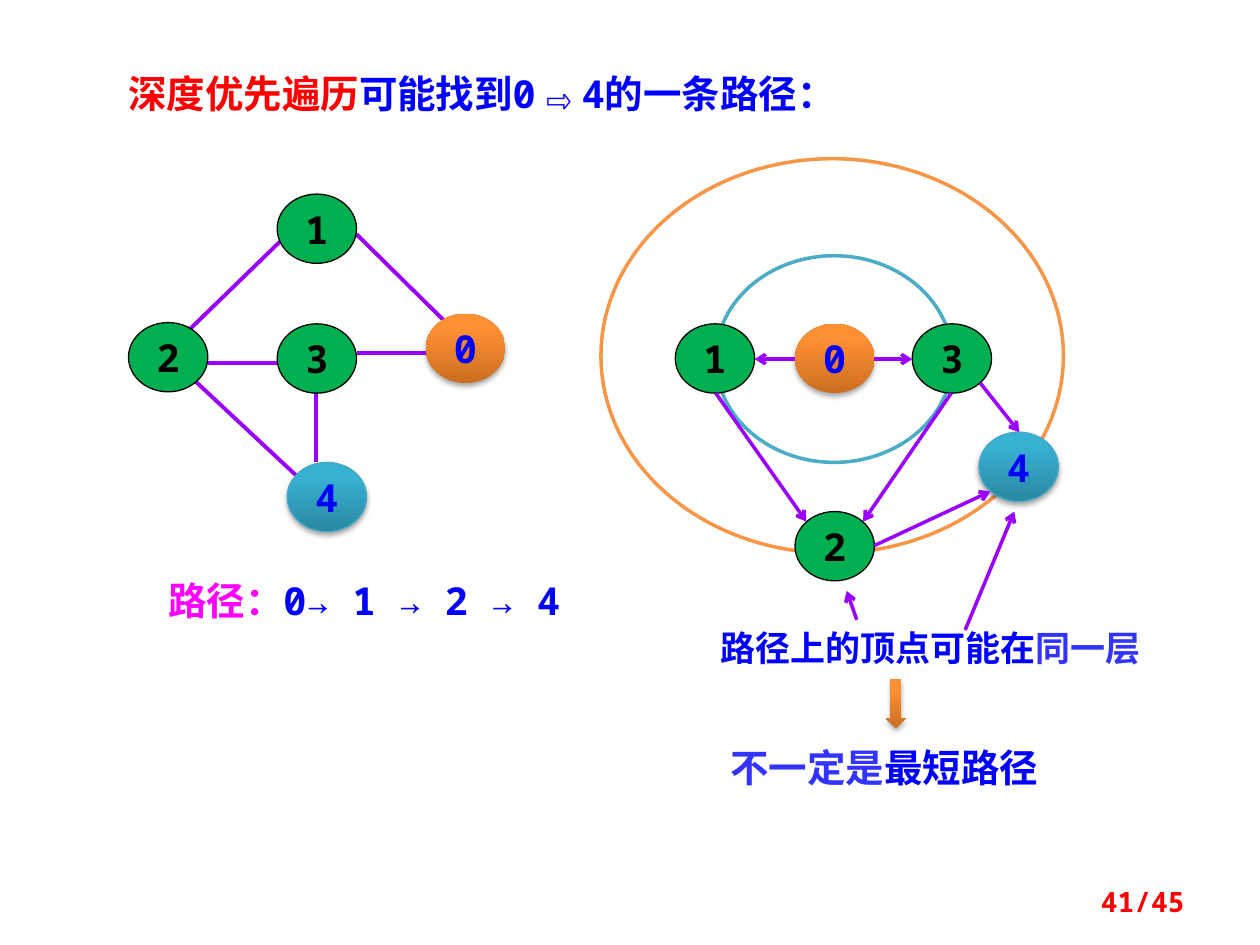
from typing import NamedTuple

from lxml.etree import SubElement
from pptx import Presentation
from pptx.dml.color import RGBColor
from pptx.enum.shapes import MSO_CONNECTOR, MSO_SHAPE
from pptx.enum.text import MSO_ANCHOR, MSO_AUTO_SIZE, PP_ALIGN
from pptx.oxml.ns import qn
from pptx.util import Inches, Pt

COLS, ROWS = 100, 75  # grid over the slide
WIDE, HIGH = Inches(10), Inches(7.5)
NODE_W, NODE_H = 6.3, 5.5
MONO, ROMAN = "Noto Sans Mono", "Times New Roman"
BLUE, RED, PURPLE = "0000FF", "FF0000", "9900FF"
GREEN, BLACK = "00B050", "000000"
ORANGE = ("CC6E20", "FF9034")
TEAL = ("2A88A2", "37B1D2")


class Node(NamedTuple):
    name: str
    col: float
    row: float
    kind: str = "plain"


class Edge(NamedTuple):
    x1: float
    y1: float
    x2: float
    y2: float


class Label(NamedTuple):
    box: tuple
    runs: tuple  # (text, colour) pairs
    font: str = MONO
    size: int = 22
    align: PP_ALIGN = PP_ALIGN.CENTER
    anchor: MSO_ANCHOR = MSO_ANCHOR.TOP


# Ellipses that mark the search layers
RINGS = [((47.7, 12.6, 36.7, 31.3), "F79646"),
         ((56.8, 20.3, 18.8, 16.4), "4BACC6")]

# Graph on the left, layers on the right
NODES = [
    Node("1", 22, 15.4), Node("3", 22, 25.7), Node("2", 10.2, 25.6),
    Node("4", 22.8, 36.7, "goal"), Node("0", 33.8, 24.9, "start"),
    Node("0", 63.1, 25.7, "start"), Node("1", 53.6, 25.7),
    Node("3", 72.4, 25.7), Node("2", 63.1, 40.6),
    Node("4", 77.7, 34.3, "goal"),
]
EDGES = [
    Edge(28.3, 18.6, 35.4, 25.6), Edge(14.8, 29.6, 24, 38.2),
    Edge(22.3, 19.1, 15.1, 26.1), Edge(16.5, 28.8, 22.8, 28.8),
    Edge(25.1, 31.2, 25.1, 36.7), Edge(28.3, 28, 34.6, 28),
]
ARROWS = [
    Edge(69.4, 28.5, 72.4, 28.5), Edge(63.1, 28.5, 59.9, 28.5),
    Edge(56.8, 31.2, 64, 41.4), Edge(75.5, 31.2, 68.5, 41.4),
    Edge(77.8, 30.4, 80.9, 34.3), Edge(69.4, 43.3, 78.6, 39),
    # From the remark to the nodes of one layer
    Edge(68, 49.2, 67.2, 46.9), Edge(76.6, 50, 80.5, 40.6),
]
LABELS = [
    Label((6.2, 5.1, 64.1, 4.7),
          (("深度优先遍历", RED), ("可能找到0⇨4的一条路径：", BLUE))),
    Label((7, 45.3, 43.8, 4.7),
          (("路径：", "FF00FF"), ("0→ 1 → 2 → 4", BLUE))),
    Label((50.8, 49.2, 46.1, 4.4),
          (("路径上的顶点可能在", BLUE), ("同一层", "3333FF")), ROMAN, 20),
    Label((57, 58.6, 28.9, 4.7),
          (("不一定是", "3333FF"), ("最短路径", BLUE)), ROMAN,
          align=PP_ALIGN.LEFT),
    Label((71.7, 69.5, 23.3, 4), (("41/45", RED),), size=16,
          align=PP_ALIGN.RIGHT, anchor=MSO_ANCHOR.MIDDLE),
]


def rgb(code: str) -> RGBColor:
    return RGBColor.from_string(code)


def place(*spots: float) -> list:
    """Turn alternating columns and rows into slide lengths."""
    units = (WIDE / COLS, HIGH / ROWS)
    return [round(spot * units[i % 2]) for i, spot in enumerate(spots)]


def add_shape(slide, kind, box: tuple, fill, line=None, width: float = 0.75):
    shape = slide.shapes.add_shape(kind, *place(*box))
    shape.shadow.inherit = False
    if isinstance(fill, tuple):
        shade(shape, fill)
    else:
        shape.fill.solid()
        shape.fill.fore_color.rgb = rgb(fill)
    if line:
        shape.line.color.rgb = rgb(line)
        shape.line.width = Pt(width)
    else:
        shape.line.fill.background()
    return shape


def shade(shape, tones: tuple) -> None:
    """Give a shape an upward gradient and a soft shadow below."""
    shape.fill.gradient()
    shape.fill.gradient_angle = 90
    for stop, tone, spot in zip(shape.fill.gradient_stops, tones, (0, 0.8)):
        stop.color.rgb = rgb(tone)
        stop.position = spot
    effects = shape._element.spPr.find(qn("a:effectLst"))
    shadow = SubElement(effects, qn("a:outerShdw"), blurRad=str(Pt(3.1)),
                        dist=str(Pt(1.8)), dir="5400000", rotWithShape="0")
    tint = SubElement(shadow, qn("a:srgbClr"), val=BLACK)
    SubElement(tint, qn("a:alpha"), val="35000")


def style(para, font: str, size: int, align) -> None:
    para.alignment = align
    para.font.name = font
    para.font.size = Pt(size)
    para.font.bold = True


def add_node(slide, node: Node) -> None:
    fill, line, ink = {
        "plain": (GREEN, BLACK, BLACK),
        "start": (ORANGE, None, BLUE),
        "goal": (TEAL, "46AAC5", BLUE),
    }[node.kind]
    shape = add_shape(slide, MSO_SHAPE.OVAL,
                      (node.col, node.row, NODE_W, NODE_H), fill, line)
    frame = shape.text_frame
    frame.word_wrap = False
    frame.vertical_anchor = MSO_ANCHOR.MIDDLE
    para = frame.paragraphs[0]
    para.text = node.name
    style(para, MONO, 22, PP_ALIGN.CENTER)
    para.font.color.rgb = rgb(ink)


def add_edge(slide, edge: Edge, width: float, head: bool = False) -> None:
    link = slide.shapes.add_connector(MSO_CONNECTOR.STRAIGHT, *place(*edge))
    link.line.color.rgb = rgb(PURPLE)
    link.line.width = Pt(width)
    if head:
        SubElement(link.line._get_or_add_ln(), qn("a:tailEnd"), type="arrow")
    SubElement(link._element.spPr, qn("a:effectLst"))


def add_label(slide, label: Label) -> None:
    frame = slide.shapes.add_textbox(*place(*label.box)).text_frame
    frame.word_wrap = True
    frame.auto_size = MSO_AUTO_SIZE.SHAPE_TO_FIT_TEXT
    frame.vertical_anchor = label.anchor
    para = frame.paragraphs[0]
    style(para, label.font, label.size, label.align)
    for text, ink in label.runs:
        run = para.add_run()
        run.text = text
        run.font.color.rgb = rgb(ink)


def main() -> None:
    deck = Presentation()
    deck.slide_width, deck.slide_height = WIDE, HIGH
    slide = deck.slides.add_slide(deck.slide_layouts[6])
    for box, line in RINGS:
        add_shape(slide, MSO_SHAPE.OVAL, box, "FFFFFF", line, 2)
    for edge in EDGES:
        add_edge(slide, edge, 2.25)
    for node in NODES:
        add_node(slide, node)
    for arrow in ARROWS:
        add_edge(slide, arrow, 2, head=True)
    for label in LABELS:
        add_label(slide, label)
    # Arrow from the remark to the conclusion
    add_shape(slide, MSO_SHAPE.DOWN_ARROW, (70.3, 53.9, 1.6, 3.9), ORANGE)
    deck.save("out.pptx")


if __name__ == "__main__":
    main()
